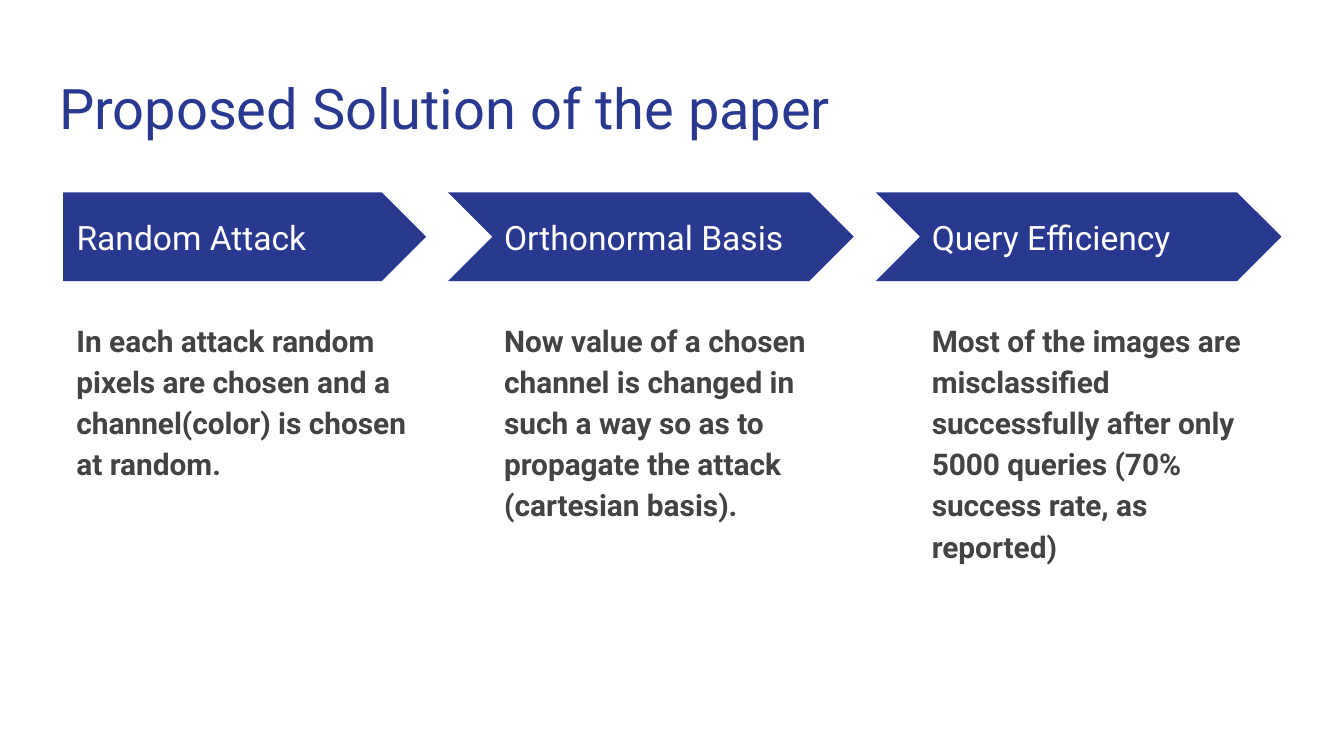
from pptx import Presentation
from pptx.dml.color import RGBColor
from pptx.enum.shapes import MSO_SHAPE
from pptx.enum.text import MSO_ANCHOR, MSO_AUTO_SIZE, PP_ALIGN
from pptx.util import Pt

PENTAGON, CHEVRON = MSO_SHAPE.PENTAGON, MSO_SHAPE.CHEVRON
TOP, MIDDLE = MSO_ANCHOR.TOP, MSO_ANCHOR.MIDDLE
NO_AUTOFIT = MSO_AUTO_SIZE.NONE
LEFT = PP_ALIGN.LEFT

NAVY = RGBColor(0x2A, 0x39, 0x90)
WHITE = RGBColor(0xFF, 0xFF, 0xFF)
GREY = RGBColor(0x43, 0x43, 0x43)

TITLE_FONT = {"size": Pt(30), "name": "Roboto", "bold": False}
LABEL_FONT = {"size": Pt(18), "name": "Roboto"}
DETAIL_FONT = {"size": Pt(16), "name": "Roboto", "bold": True}
DETAIL_SPACING = {"line_spacing": 1.15, "space_after": Pt(8)}

TITLE_ONLY_LAYOUT = 5
COLUMN_LEFT, COLUMN_TOP = 33.9, 103
COLUMN_WIDTH, COLUMN_PITCH = 194.4, 229.1
ARROW_HEIGHT = 47.6
NOTCH_OVERHANG = 23

STEPS = [
    ("Random Attack",
     "In each attack random pixels are chosen and a channel(color) is chosen at random."),
    ("Orthonormal Basis",
     "Now value of a chosen channel is changed in such a way so as to "
     "propagate the attack (cartesian basis)."),
    ("Query Efficiency",
     "Most of the images are misclassified successfully after only 5000 queries "
     "(70% success rate, as reported)"),
]


def set_attributes(target, values):
    for name, value in values.items():
        setattr(target, name, value)


def write_text(shape, text, font, color, anchor=TOP, spacing=None):
    frame = shape.text_frame
    frame.text = text
    set_attributes(frame, {
        "word_wrap": True, "auto_size": NO_AUTOFIT, "vertical_anchor": anchor,
        "margin_left": Pt(7.2), "margin_right": Pt(7.2),
        "margin_top": Pt(7.2), "margin_bottom": Pt(7.2),
    })
    paragraph = frame.paragraphs[0]
    set_attributes(paragraph, {"alignment": LEFT, "space_before": Pt(0), **(spacing or {})})
    set_attributes(paragraph.font, font)
    paragraph.font.color.rgb = color


def add_title(slide, text, left, top, width, height):
    title = slide.shapes.title
    set_attributes(title, {"left": Pt(left), "top": Pt(top),
                           "width": Pt(width), "height": Pt(height)})
    write_text(title, text, TITLE_FONT, NAVY)


def add_step(slide, label, detail, left, top, width, is_first):
    """Add an arrow with its label, and the explanation beneath it."""
    overhang = 0 if is_first else NOTCH_OVERHANG
    arrow = slide.shapes.add_shape(
        PENTAGON if is_first else CHEVRON,
        Pt(left - overhang), Pt(top), Pt(width + overhang), Pt(ARROW_HEIGHT))
    arrow.shadow.inherit = False
    arrow.fill.solid()
    arrow.fill.fore_color.rgb = NAVY
    arrow.line.fill.background()

    label_box = slide.shapes.add_textbox(Pt(left), Pt(top + 11.5), Pt(178), Pt(24.6))
    write_text(label_box, label, LABEL_FONT, WHITE, MIDDLE)

    detail_box = slide.shapes.add_textbox(Pt(left), Pt(top + 59.7), Pt(width), Pt(208.8))
    write_text(detail_box, detail, DETAIL_FONT, GREY, spacing=DETAIL_SPACING)


def main():
    presentation = Presentation()
    presentation.slide_width, presentation.slide_height = Pt(720), Pt(405)
    slide = presentation.slides.add_slide(presentation.slide_layouts[TITLE_ONLY_LAYOUT])
    add_title(slide, "Proposed Solution of the paper", 24.5, 32.4, 671, 47.6)
    for index, (label, detail) in enumerate(STEPS):
        add_step(slide, label, detail, COLUMN_LEFT + index * COLUMN_PITCH,
                 COLUMN_TOP, COLUMN_WIDTH, index == 0)
    presentation.save("out.pptx")


if __name__ == "__main__":
    main()
